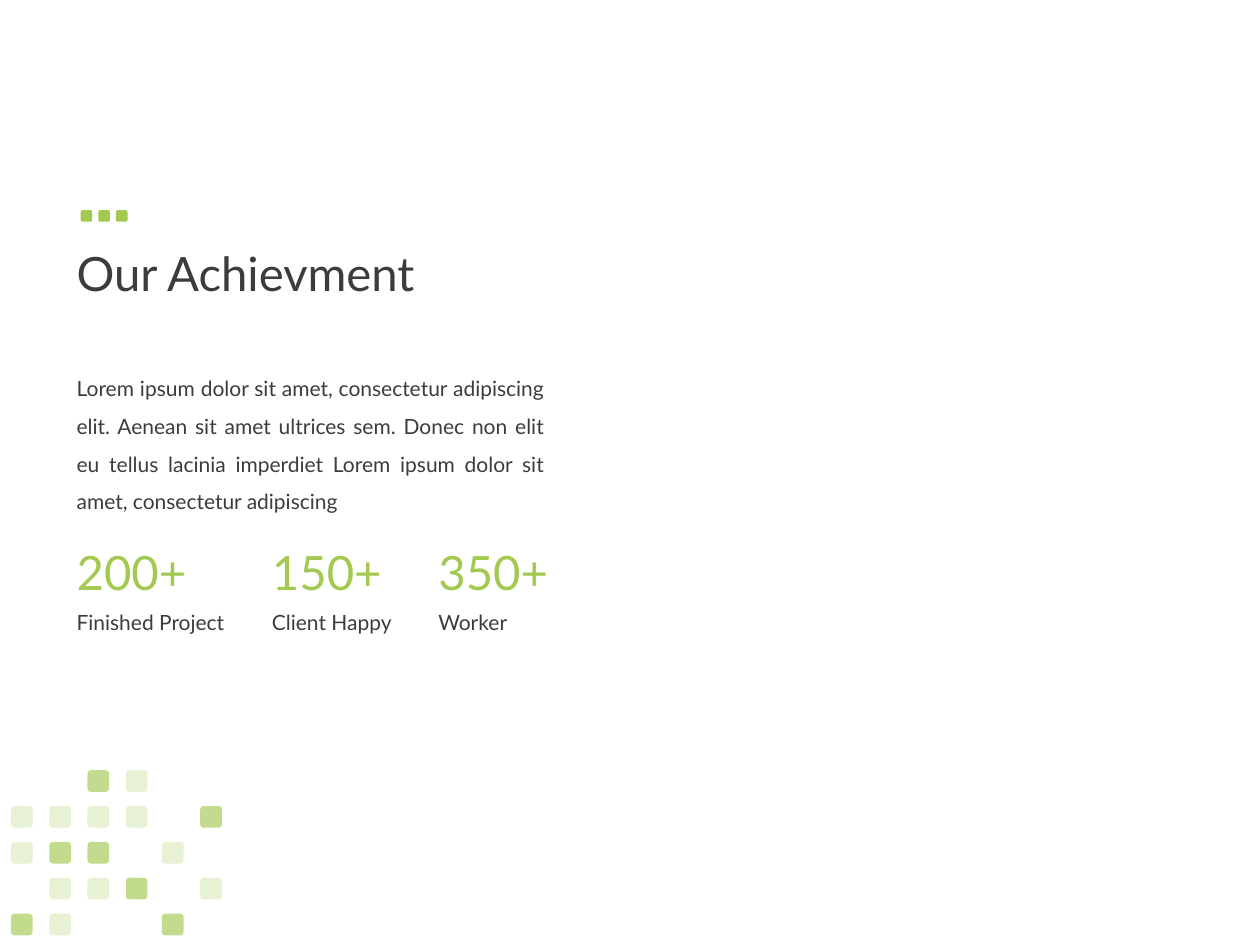
from lxml.etree import SubElement
from pptx import Presentation
from pptx.dml.color import RGBColor
from pptx.enum.shapes import MSO_AUTO_SHAPE_TYPE as Shape
from pptx.enum.text import MSO_ANCHOR as Anchor, MSO_AUTO_SIZE as AutoSize, PP_ALIGN as Align
from pptx.oxml.ns import qn
from pptx.util import Pt

FONT = "Lato"
GREEN = "A3C951"
DARK = "3C3C3C"
LEFT = 36.7

BODY = ("Lorem ipsum dolor sit amet, consectetur adipiscing elit. Aenean sit amet "
        "ultrices sem. Donec non elit eu tellus lacinia imperdiet Lorem ipsum dolor "
        "sit amet, consectetur adipiscing")

STATS = [
    (LEFT, "200+", "Finished Project"),
    (148.3, "150+", "Client Happy"),
    (243.4, "350+", "Worker"),
]

# Mosaic: "#" is a strong tile, "o" a pale one, "." a gap
MOSAIC = [
    "..#o..",
    "oooo.#",
    "o##.o.",
    ".oo#.o",
    "#o..#.",
]
MOSAIC_COLUMNS = [6.3, 28.2, 50, 71.9, 92.5, 114.4]
MOSAIC_TOP, MOSAIC_PITCH = 440.1, 20.5
OPACITY = {"#": 65, "o": 25}


def color(hex_code):
    return RGBColor.from_string(hex_code)


def add_text(page, left, top, width, height, text, size, hex_code,
             align=Align.LEFT, spacing=1.0, anchor=Anchor.TOP, grow=True):
    box = page.shapes.add_textbox(Pt(left), Pt(top), Pt(width), Pt(height))
    frame = box.text_frame
    frame.word_wrap = True
    frame.auto_size = AutoSize.SHAPE_TO_FIT_TEXT if grow else AutoSize.NONE
    frame.vertical_anchor = anchor
    para = frame.paragraphs[0]
    para.alignment = align
    para.line_spacing = spacing
    span = para.add_run()
    span.text = text
    span.font.name = FONT
    span.font.size = Pt(size)
    span.font.color.rgb = color(hex_code)


def add_tile(group, left, top, size, opacity=100):
    tile = group.shapes.add_shape(Shape.ROUNDED_RECTANGLE,
                                  Pt(left), Pt(top), Pt(size), Pt(size))
    tile.shadow.inherit = False
    tile.fill.solid()
    tile.fill.fore_color.rgb = color(GREEN)
    tile.line.fill.background()
    if opacity < 100:
        tint = tile.fill._xPr.find(qn("a:solidFill"))[0]
        SubElement(tint, qn("a:alpha"), val=str(opacity * 1000))


def add_mosaic(page):
    group = page.shapes.add_group_shape()
    for row, marks in enumerate(MOSAIC):
        for left, mark in zip(MOSAIC_COLUMNS, marks):
            if mark in OPACITY:
                add_tile(group, left, MOSAIC_TOP + row * MOSAIC_PITCH, 12.4, OPACITY[mark])


def add_title_dots(page):
    group = page.shapes.add_group_shape()
    for index in range(3):
        add_tile(group, 46.1 + index * 10.1, 120.1, 6.6)


def main():
    deck = Presentation()
    deck.slide_width, deck.slide_height = Pt(720), Pt(540)
    page = deck.slides.add_slide(deck.slide_layouts[6])

    # Title
    add_text(page, LEFT, 105.8, 620.6, 104.4, "Our Achievment", 27, DARK,
             spacing=0.9, anchor=Anchor.MIDDLE, grow=False)

    # Figures with their labels
    for left, figure, label in STATS:
        add_text(page, left, 306.7, 85.7, 40.3, figure, 27, GREEN)
        add_text(page, left, 344.9, 126.7, 21.6, label, 12, DARK)

    # Body text
    add_text(page, LEFT, 203.8, 281.5, 91.4, BODY, 12, DARK,
             align=Align.JUSTIFY, spacing=1.5)

    # Decoration
    add_mosaic(page)
    add_title_dots(page)

    deck.save("out.pptx")


if __name__ == "__main__":
    main()
